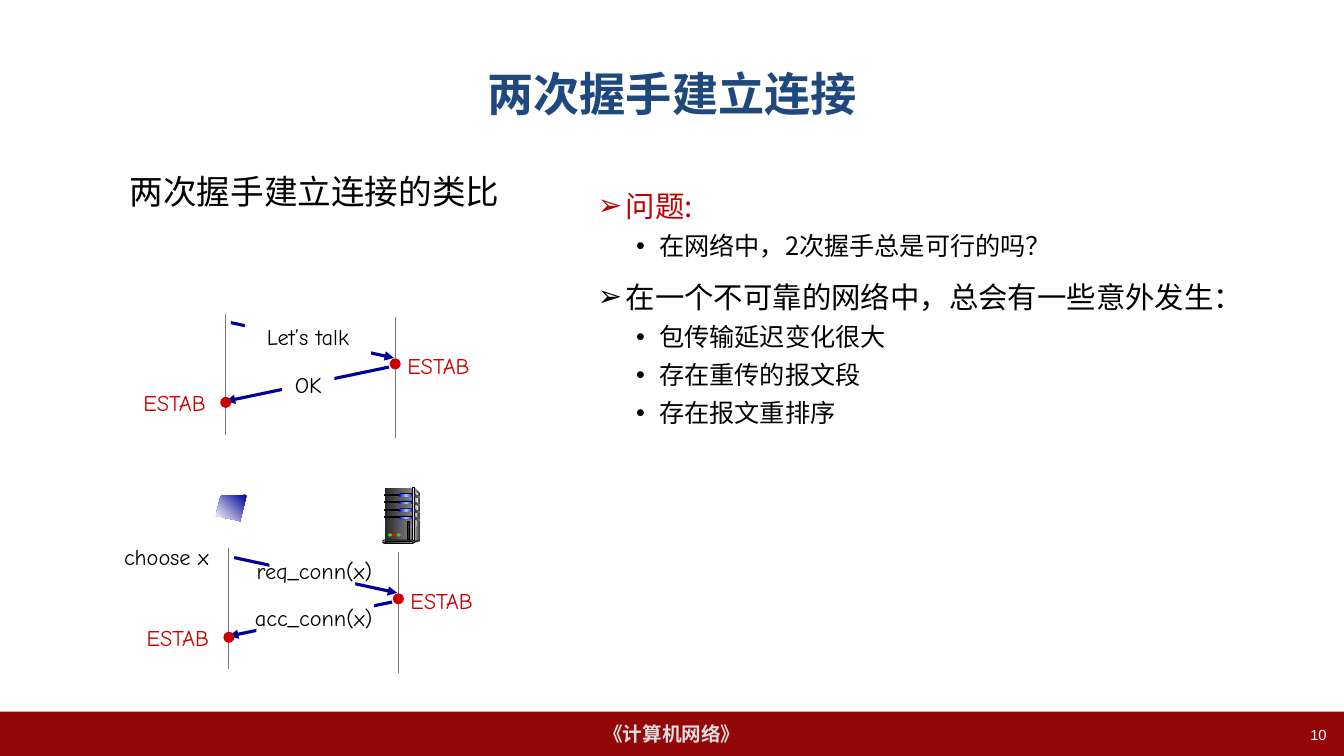
from lxml.etree import SubElement
from pptx import Presentation
from pptx.dml.color import RGBColor
from pptx.enum.shapes import MSO_CONNECTOR, MSO_SHAPE
from pptx.enum.text import MSO_ANCHOR, PP_ALIGN
from pptx.oxml.ns import qn
from pptx.util import Cm, Pt

# Colours and fonts
WHITE = RGBColor(0xFF, 0xFF, 0xFF)
BLACK = RGBColor(0, 0, 0)
MAROON = RGBColor(0x94, 0x07, 0x09)
SILVER = RGBColor(0xDD, 0xDD, 0xDD)
TITLE_BLUE = RGBColor(0x1F, 0x49, 0x7D)
CREAM = RGBColor(0xEE, 0xEC, 0xE1)
ISSUE_RED = RGBColor(0xC0, 0, 0)
STATE_RED = RGBColor(0xCC, 0, 0)
ARROW_BLUE = RGBColor(0, 0, 0x99)
LIFELINE_GREY = RGBColor(0x77, 0x77, 0x77)
CHARCOAL = RGBColor(0x29, 0x29, 0x29)
DARK_GREY = RGBColor(0x33, 0x33, 0x33)
MID_GREY = RGBColor(0x80, 0x80, 0x80)
PALE_GREY = RGBColor(0xF8, 0xF8, 0xF8)
GLOW_BLUE = RGBColor(0, 0, 0xFF)
GLOW_PALE = RGBColor(0x99, 0xCC, 0xFF)
LED_GREEN = RGBColor(0x33, 0xCC, 0x33)
LED_RED = RGBColor(0xFF, 0, 0)
SANS, CJK, COMIC = "Arial", "Noto Sans CJK SC", "Comic Neue"

# Content (lengths in cm)
TITLE = "两次握手建立连接"
SUBTITLE = "两次握手建立连接的类比"
COURSE = "《计算机网络》"
PAGE = "10"
POINTS = [
    (0, "问题:", ISSUE_RED),
    (1, "在网络中，2次握手总是可行的吗？", BLACK),
    (0, "在一个不可靠的网络中，总会有一些意外发生：", BLACK),
    (1, "包传输延迟变化很大", BLACK),
    (1, "存在重传的报文段", BLACK),
    (1, "存在报文重排序", BLACK),
]
# level: bullet, size, left margin, hanging indent, space before
LEVELS = [("➢", 21, 0.71, 0.71, 12.9), ("•", 18, 1.55, 0.58, 5.4)]

# Boxes are relative to the top of the client lifeline
HANDSHAKES = [
    {"origin": (5.69, 7.9),
     "gaps": [(0.79, 0.2, 2.46, 0.91), (0.48, 0.13, 3.18, 0.94),
              (1.5, 1.37, 1.22, 0.91), (1.42, 1.32, 1.32, 0.94)],
     "messages": [("Let’s talk", (0.48, 0.13, 3.18, 0.94)),
                  ("OK", (1.42, 1.32, 1.32, 0.94))]},
    {"origin": (5.77, 13.82),
     "gaps": [(1.02, 0.2, 2.16, 0.91), (1.52, 1.37, 1.22, 0.91),
              (0.69, 1.4, 2.97, 0.71)],
     "messages": [("req_conn(x)", (0.3, 0.1, 3.71, 0.94)),
                  ("acc_conn(x)", (0.28, 1.27, 3.71, 0.94))]},
]
LIFELINES = [((0, 0), (0, 3.05)), ((4.27, 0.08), (4.27, 3.13))]
ARROWS = [((0.13, 0.23), (4.24, 1.12)), ((4.11, 1.35), (0, 2.21))]
# state label corner, dot centre
STATES = [((4.14, 0.84), (4.27, 1.27)), ((-2.51, 1.78), (0, 2.24))]
DOT = 0.25

prs = Presentation()
prs.slide_width, prs.slide_height = Cm(33.87), Cm(19.05)
slide = prs.slides.add_slide(prs.slide_layouts[6])
shapes = slide.shapes


def paint(shape, fill, line=None, angle=0):
    """Fill with one colour, or with an even gradient for a list of colours."""
    shape.shadow.inherit = False
    if isinstance(fill, list):
        shape.fill.gradient()
        shape.fill.gradient_angle = angle
        stops = shape._element.spPr.find(qn("a:gradFill")).find(qn("a:gsLst"))
        for stop in list(stops):
            stops.remove(stop)
        for i, colour in enumerate(fill):
            stop = SubElement(stops, qn("a:gs"), pos=str(100000 * i // (len(fill) - 1)))
            SubElement(stop, qn("a:srgbClr"), val=str(colour))
    else:
        shape.fill.solid()
        shape.fill.fore_color.rgb = fill
    if line is None:
        shape.line.fill.background()
    else:
        shape.line.color.rgb = line
        shape.line.width = Pt(0.75)


def block(kind, box, fill, line=None):
    shape = shapes.add_shape(kind, *map(Cm, box))
    if kind == MSO_SHAPE.ROUNDED_RECTANGLE:
        shape.adjustments[0] = 0.5
    paint(shape, fill, line)
    return shape


def outline(points, fill, angle=0):
    start, *rest = [(Cm(x), Cm(y)) for x, y in points]
    builder = shapes.build_freeform(*start)
    builder.add_line_segments(rest, close=True)
    paint(builder.convert_to_shape(), fill, angle=angle)


def connect(start, end, colour, width, arrow=False):
    link = shapes.add_connector(MSO_CONNECTOR.STRAIGHT, *map(Cm, start + end))
    link.line.color.rgb = colour
    link.line.width = Pt(width)
    if arrow:
        SubElement(link.line._get_or_add_ln(), qn("a:tailEnd"), type="triangle")
    SubElement(link._element.spPr, qn("a:effectLst"))


def add_run(paragraph, words, size, font, colour, bold=False):
    run = paragraph.add_run()
    run.text = words
    run.font.size, run.font.name, run.font.bold = Pt(size), font, bold
    run.font.color.rgb = colour
    SubElement(run._r.get_or_add_rPr(), qn("a:ea"), typeface=CJK)


def write(frame, words, size, font, colour, align=PP_ALIGN.CENTER, bold=False,
          anchor=MSO_ANCHOR.TOP, wrap=False):
    frame.word_wrap = wrap
    frame.vertical_anchor = anchor
    frame.paragraphs[0].alignment = align
    add_run(frame.paragraphs[0], words, size, font, colour, bold)


def text_box(box):
    return shapes.add_textbox(*map(Cm, box)).text_frame


def shift(origin, box):
    return (origin[0] + box[0], origin[1] + box[1]) + tuple(box[2:])


# Footer, titles and page number
footer = block(MSO_SHAPE.RECTANGLE, (0, 17.93, 33.87, 1.12), MAROON)
write(footer.text_frame, COURSE, 14, SANS, SILVER, bold=True, anchor=MSO_ANCHOR.MIDDLE)
write(text_box((1.7, 0.76, 30.48, 3.18)), TITLE, 33, SANS, TITLE_BLUE, bold=True,
      anchor=MSO_ANCHOR.MIDDLE, wrap=True)
write(text_box((25.78, 18.16, 7.9, 0.89)), PAGE, 10.5, SANS, WHITE, PP_ALIGN.RIGHT, wrap=True)
write(text_box((3.02, 4.19, 10.13, 1.27)), SUBTITLE, 24, CJK, BLACK, PP_ALIGN.LEFT, wrap=True)

# Bulleted points
body = text_box((14.81, 4.45, 17.35, 12.57))
body.word_wrap = True
body.margin_top = Cm(0.28)
for i, (level, words, colour) in enumerate(POINTS):
    bullet, size, margin, hanging, before = LEVELS[level]
    point = body.add_paragraph() if i else body.paragraphs[0]
    props = point._p.get_or_add_pPr()
    props.set("marL", str(Cm(margin)))
    props.set("indent", str(-Cm(hanging)))
    SubElement(props, qn("a:buFont"), typeface=SANS)
    SubElement(props, qn("a:buChar"), char=bullet)
    point.level = level
    if i:
        point.space_before = Pt(before)
    add_run(point, words, size, CJK, colour)

# Handshake diagrams
for handshake in HANDSHAKES:
    origin = handshake["origin"]
    for start, end in LIFELINES:
        connect(shift(origin, start), shift(origin, end), LIFELINE_GREY, 0.75)
    for start, end in ARROWS:
        connect(shift(origin, start), shift(origin, end), ARROW_BLUE, 2.25, arrow=True)
    for gap in handshake["gaps"]:
        block(MSO_SHAPE.RECTANGLE, shift(origin, gap), WHITE)
    for words, box in handshake["messages"]:
        write(text_box(shift(origin, box)), words, 16, COMIC, BLACK)
    for corner, (x, y) in STATES:
        write(text_box(shift(origin, corner + (2.44, 0.94))), "ESTAB", 16, COMIC, STATE_RED)
        dot = (x - DOT / 2, y - DOT / 2, DOT, DOT)
        block(MSO_SHAPE.OVAL, shift(origin, dot), STATE_RED, STATE_RED)
write(text_box((2.69, 13.56, 2.82, 1.63)), "choose x", 16, COMIC, BLACK, PP_ALIGN.RIGHT)

# Client screen
outline([(6.22, 12.47), (5.56, 12.5), (5.44, 13), (6.05, 13.13)], [ARROW_BLUE, WHITE], 225)

# Server cabinet
RECT, PILL = MSO_SHAPE.RECTANGLE, MSO_SHAPE.ROUNDED_RECTANGLE
outline([(10.44, 12.29), (10.59, 12.45), (10.59, 13.59), (10.39, 13.64)], [SILVER, DARK_GREY])
block(RECT, (9.7, 12.29, 0.69, 1.35), [CHARCOAL, MID_GREY])
outline([(10.44, 12.37), (10.54, 12.47), (10.46, 13.61), (10.44, 13.61)], [MID_GREY, PALE_GREY])
bays = [12.45 + 0.19 * i for i in range(4)]
for y in bays:
    block(RECT, (9.7, y, 0.38, 0.03), BLACK, BLACK)
    block(PILL, (10.06, y - 0.02, 0.38, 0.08), BLACK)
    block(PILL, (10.06, y, 0.36, 0.07), [GLOW_BLUE, GLOW_PALE, GLOW_BLUE])
block(RECT, (10.39, 12.29, 0.05, 1.37), [DARK_GREY, SILVER, DARK_GREY], BLACK)
for y in bays:
    outline([(10.43, y), (10.59, y + 0.08), (10.59, y + 0.11), (10.43, y + 0.06)],
            [CHARCOAL, MID_GREY])

# Server base and lights
outline([(10.41, 13.64), (10.41, 13.69), (10.59, 13.64), (10.57, 13.59)], DARK_GREY)
block(PILL, (9.65, 13.61, 0.79, 0.08), SILVER, BLACK)
block(PILL, (9.7, 13.64, 0.71, 0.05), [TITLE_BLUE, CREAM], BLACK)
for i, light in enumerate([LED_GREEN, LED_RED, LED_GREEN]):
    block(MSO_SHAPE.OVAL, (9.78 + 0.11 * i, 13.44, 0.1, 0.08), light)
block(RECT, (10.26, 13.13, 0.05, 0.46), CHARCOAL, BLACK)

prs.save("out.pptx")
